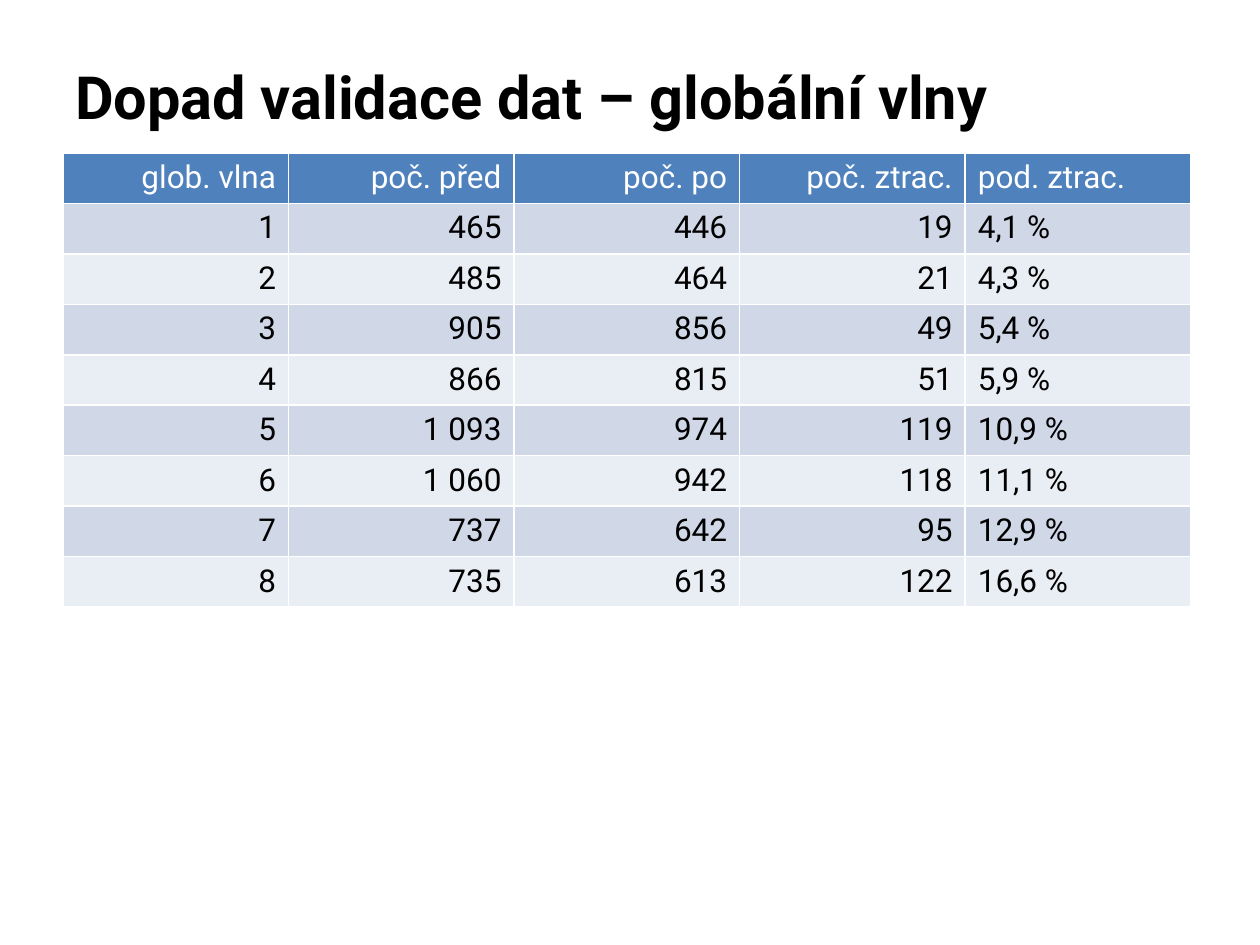
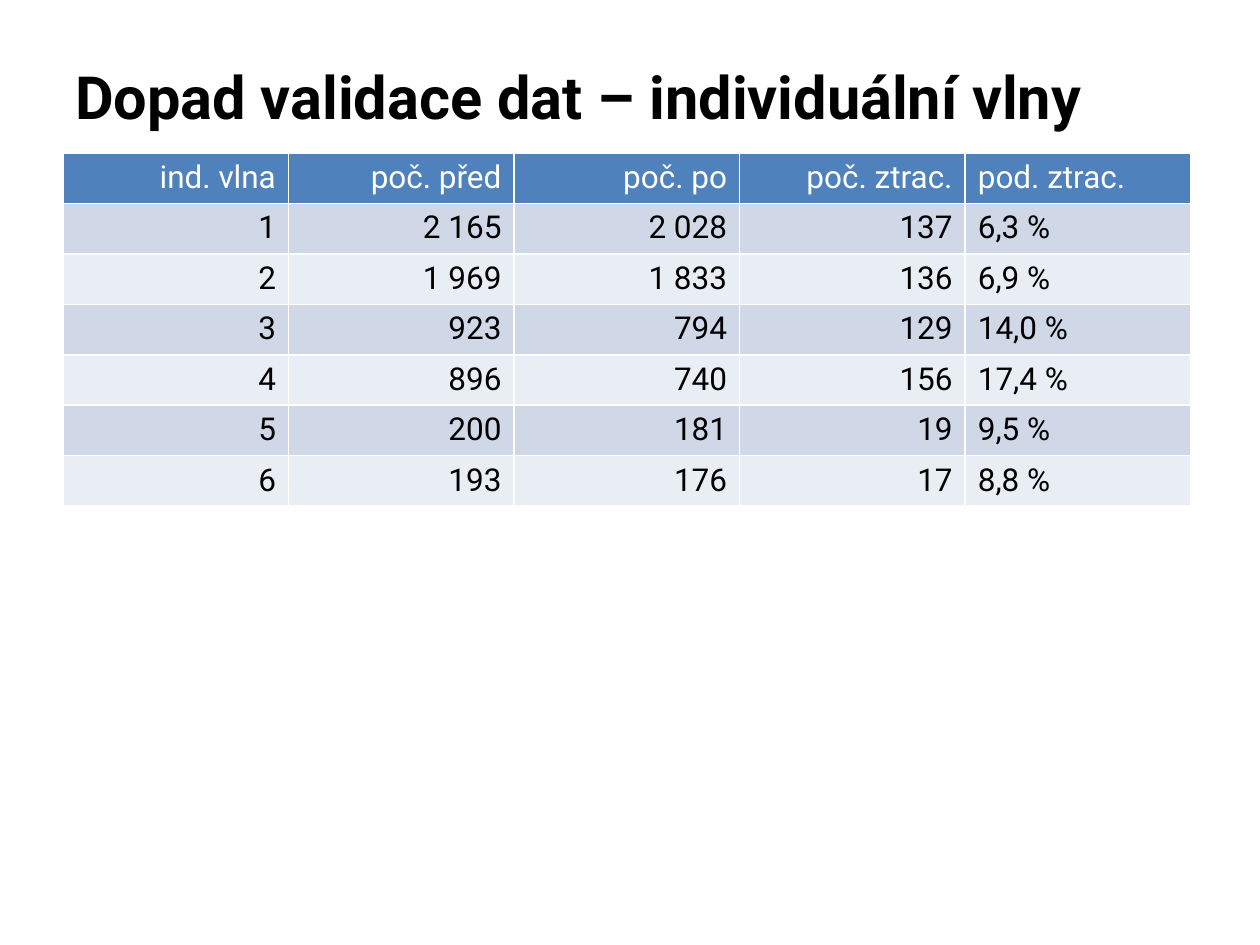
from dataclasses import dataclass
from typing import NamedTuple

from lxml.etree import SubElement
from pptx import Presentation
from pptx.dml.color import RGBColor
from pptx.enum.text import MSO_ANCHOR as Anchor, PP_ALIGN as Align
from pptx.oxml.ns import qn
from pptx.util import Pt

EMU_PER_PX = 914400 / 126


def px(length):
    return round(length * EMU_PER_PX)


class Box(NamedTuple):
    left: int
    top: int
    width: int
    height: int

    def emu(self):
        return [px(length) for length in self]


@dataclass(frozen=True)
class Theme:
    font: str = "Roboto"
    title_size: int = 34
    table_size: int = 18
    border_width: int = 1
    ink: str = "000000"
    paper: str = "FFFFFF"
    header: str = "4F81BD"
    bands: tuple = ("D0D8E8", "E9EDF4")


THEME = Theme()
PAGE = Box(0, 0, 1260, 945)
TITLE = Box(63, 38, 1134, 115)
TABLE = Box(63, 153, 1128, 752)
ROW_HEIGHT = 49

# Data: the first column is the wave number, added when the table is filled
COUNT_HEADS = ["poč. před", "poč. po", "poč. ztrac.", "pod. ztrac."]
SLIDES = [
    ("Dopad validace dat – globální vlny", "glob. vlna", [
        ("465", "446", "19", "4,1 %"),
        ("485", "464", "21", "4,3 %"),
        ("905", "856", "49", "5,4 %"),
        ("866", "815", "51", "5,9 %"),
        ("1 093", "974", "119", "10,9 %"),
        ("1 060", "942", "118", "11,1 %"),
        ("737", "642", "95", "12,9 %"),
        ("735", "613", "122", "16,6 %"),
    ]),
    ("Dopad validace dat – individuální vlny", "ind. vlna", [
        ("2 165", "2 028", "137", "6,3 %"),
        ("1 969", "1 833", "136", "6,9 %"),
        ("923", "794", "129", "14,0 %"),
        ("896", "740", "156", "17,4 %"),
        ("200", "181", "19", "9,5 %"),
        ("193", "176", "17", "8,8 %"),
    ]),
]


def write(frame, text, color, size, bold=False, align=Align.LEFT):
    para = frame.paragraphs[0]
    para.alignment = align
    span = para.add_run()
    span.text = text
    look = {"name": THEME.font, "size": Pt(size), "bold": bold}
    for name, value in look.items():
        setattr(span.font, name, value)
    span.font.color.rgb = RGBColor.from_string(color)


def add_title(page, box, text):
    frame = page.shapes.add_textbox(*box.emu()).text_frame
    for name, value in {"word_wrap": True, "vertical_anchor": Anchor.MIDDLE}.items():
        setattr(frame, name, value)
    write(frame, text, THEME.ink, THEME.title_size, bold=True)


def paint_cell(cell, fill):
    # Borders come before the fill in the cell properties
    props = cell._tc.get_or_add_tcPr()
    for side in ("lnL", "lnR", "lnT", "lnB"):
        line = SubElement(props, qn(f"a:{side}"), w=str(Pt(THEME.border_width)))
        SubElement(SubElement(line, qn("a:solidFill")), qn("a:srgbClr"), val=THEME.paper)
    cell.fill.solid()
    cell.fill.fore_color.rgb = RGBColor.from_string(fill)


def add_wave_table(page, box, wave_head, counts):
    rows = [[wave_head, *COUNT_HEADS]]
    rows += [[str(wave), *values] for wave, values in enumerate(counts, 1)]
    last = len(COUNT_HEADS)
    area = box._replace(height=ROW_HEIGHT * len(rows))
    table = page.shapes.add_table(len(rows), last + 1, *area.emu()).table

    for r, row in enumerate(rows):
        fill = THEME.bands[(r - 1) % 2] if r else THEME.header
        color = THEME.ink if r else THEME.paper
        for c, text in enumerate(row):
            cell = table.cell(r, c)
            paint_cell(cell, fill)
            align = Align.LEFT if c == last else Align.RIGHT
            write(cell.text_frame, text, color, THEME.table_size, align=align)


def main():
    deck = Presentation()
    deck.slide_width, deck.slide_height = px(PAGE.width), px(PAGE.height)
    for title, wave_head, counts in SLIDES:
        page = deck.slides.add_slide(deck.slide_layouts[6])
        add_title(page, TITLE, title)
        add_wave_table(page, TABLE, wave_head, counts)
    deck.save("out.pptx")


if __name__ == "__main__":
    main()
